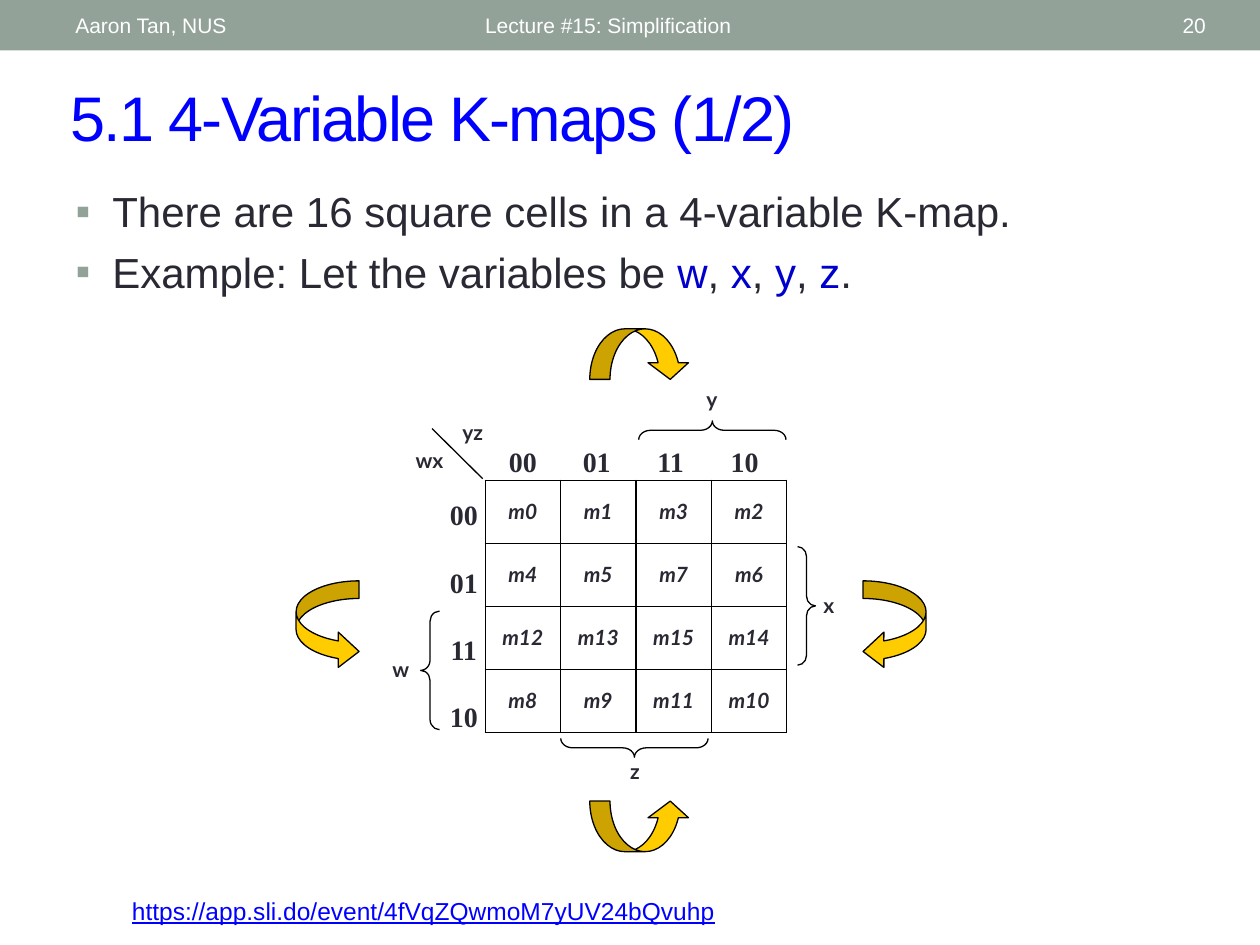
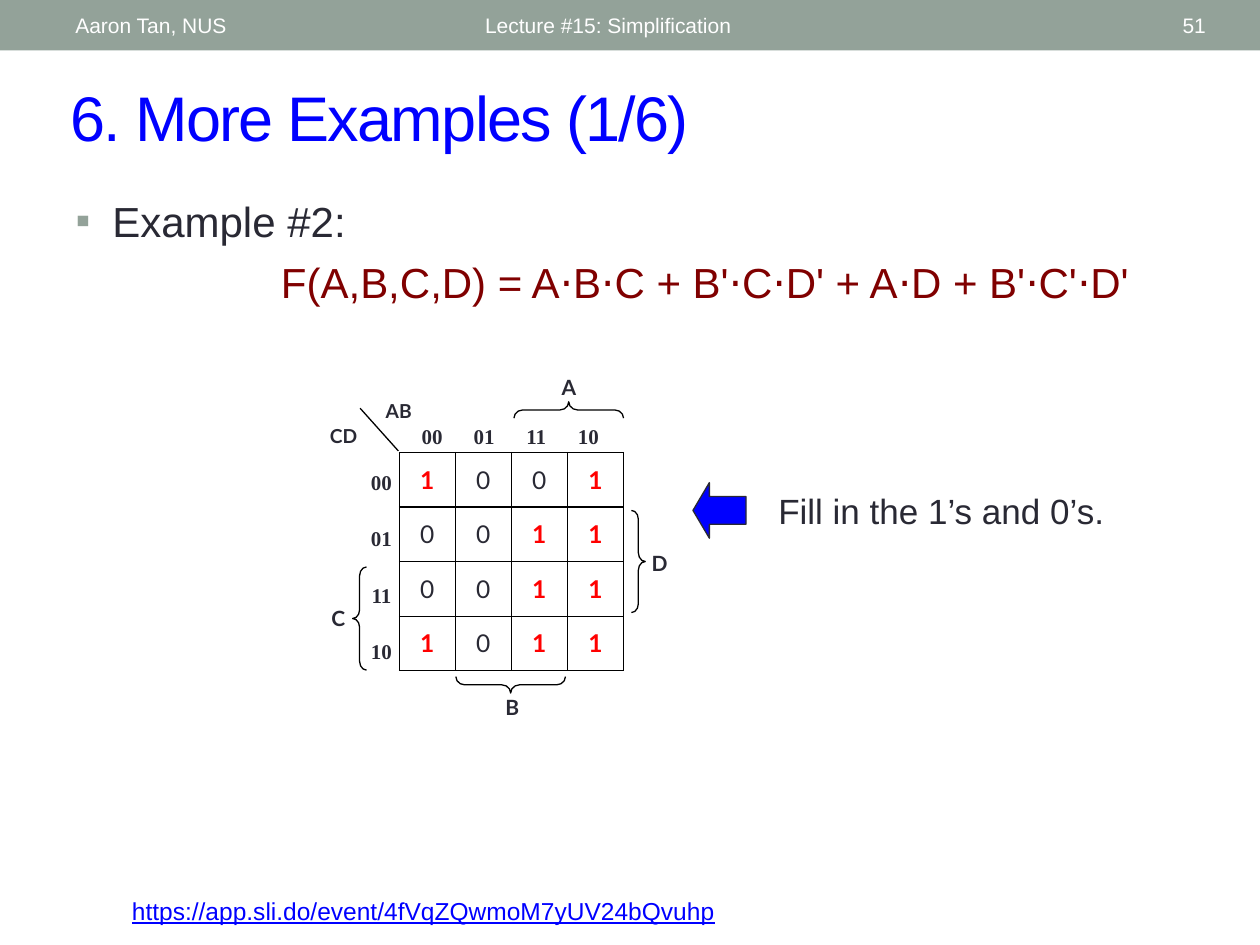
from lxml.etree import SubElement
from pptx import Presentation
from pptx.dml.color import RGBColor
from pptx.enum.shapes import MSO_CONNECTOR as Connector
from pptx.enum.shapes import MSO_SHAPE as Preset
from pptx.enum.text import MSO_ANCHOR as Anchor
from pptx.enum.text import MSO_AUTO_SIZE as AutoSize
from pptx.enum.text import PP_ALIGN as Align
from pptx.oxml.ns import qn
from pptx.util import Cm, Pt

WHITE = RGBColor(0xFF, 0xFF, 0xFF)
BLACK = RGBColor(0x00, 0x00, 0x00)
INK = RGBColor(0x29, 0x29, 0x34)
SAGE = RGBColor(0x93, 0xA2, 0x99)
BLUE = RGBColor(0x00, 0x00, 0xFF)
VARIABLE_BLUE = RGBColor(0x00, 0x00, 0xCC)
MAROON = RGBColor(0x80, 0x00, 0x00)
RED = RGBColor(0xFF, 0x00, 0x00)
GOLD = RGBColor(0xFF, 0xCC, 0x00)

HEADER = {"name": "Arial", "size": Pt(12), "color": WHITE}
LINK = {"name": "Arial", "size": Pt(14), "color": BLUE, "underline": True}
TITLE = {"name": "Arial", "size": Pt(36), "color": BLUE}
BODY = {"name": "Arial", "size": Pt(24), "color": INK}
VARIABLE = {**BODY, "color": VARIABLE_BLUE}
FORMULA = {**BODY, "color": MAROON}
REMARK = {**BODY, "size": Pt(20)}
LABEL = {"name": "Lato", "size": Pt(12), "color": INK, "bold": True}
SMALL_LABEL = {**LABEL, "size": Pt(11)}
MINTERM = {**LABEL, "italic": True}
ZERO = {"name": "Lato", "size": Pt(14), "color": INK, "bold": False}
ONE = {**ZERO, "color": RED, "bold": True}
BIG_CODE = {"name": "Times New Roman", "size": Pt(16), "color": INK, "bold": True}
SMALL_CODE = {**BIG_CODE, "size": Pt(12)}

LINE_WIDTH = Pt(0.75)
GRAY_CODES = ["00", "01", "11", "10"]


def add_span(para, text, style):
    span = para.add_run()
    span.text = text
    for key, value in style.items():
        if key == "color":
            span.font.color.rgb = value
        else:
            setattr(span.font, key, value)
    return span


def add_text(page, text, place, style, align=Align.LEFT, anchor=Anchor.MIDDLE):
    box = page.shapes.add_textbox(*map(Cm, place))
    box.text_frame.word_wrap = True
    box.text_frame.vertical_anchor = anchor
    para = box.text_frame.paragraphs[0]
    para.alignment = align
    add_span(para, text, style)
    return box


def add_label(page, text, center, style):
    width, height = 1.6, 0.8
    place = (center[0] - width / 2, center[1] - height / 2, width, height)
    frame = add_text(page, text, place, style, Align.CENTER).text_frame
    for side in ("left", "right", "top", "bottom"):
        setattr(frame, f"margin_{side}", 0)


def add_preset(page, preset, place, fill=None, outline=BLACK, flip=None,
               rotation=0, adjustments=()):
    shape = page.shapes.add_shape(preset, *map(Cm, place))
    shape.shadow.inherit = False
    shape.rotation = rotation
    for index, value in enumerate(adjustments):
        shape.adjustments[index] = value
    if fill is None:
        shape.fill.background()
    else:
        shape.fill.solid()
        shape.fill.fore_color.rgb = fill
    if outline is None:
        shape.line.fill.background()
    else:
        shape.line.color.rgb = outline
        shape.line.width = LINE_WIDTH
    if flip:
        shape._element.spPr.find(qn("a:xfrm")).set(flip, "1")


def add_brace(page, place, curl, rotation=0, flip=None):
    add_preset(page, Preset.LEFT_BRACE, place, rotation=rotation, flip=flip,
               adjustments=(curl, 0.5))


def add_line(page, start, end):
    line = page.shapes.add_connector(Connector.STRAIGHT, *map(Cm, (*start, *end)))
    line.line.color.rgb = BLACK
    line.line.width = LINE_WIDTH
    SubElement(line._element.spPr, qn("a:effectLst"))


def set_borders(cell):
    properties = cell._tc.get_or_add_tcPr()
    for side in ("lnL", "lnR", "lnT", "lnB"):
        border = SubElement(properties, qn(f"a:{side}"), w=str(LINE_WIDTH))
        fill = SubElement(border, qn("a:solidFill"))
        SubElement(fill, qn("a:srgbClr"), val=str(BLACK))


def add_grid(page, corner, cell_size, values, pick_style):
    count = len(values)
    size = [count * length for length in cell_size]
    table = page.shapes.add_table(count, count, *map(Cm, (*corner, *size))).table
    table.first_row = table.horz_banding = False
    for row, texts in enumerate(values):
        for column, text in enumerate(texts):
            cell = table.cell(row, column)
            set_borders(cell)
            cell.fill.background()
            cell.vertical_anchor = Anchor.MIDDLE
            for side in ("left", "right", "top", "bottom"):
                setattr(cell, f"margin_{side}", 0)
            para = cell.text_frame.paragraphs[0]
            para.alignment = Align.CENTER
            add_span(para, text, pick_style(text))


def add_codes(page, start, step, style):
    for index, code in enumerate(GRAY_CODES):
        center = [begin + index * gap for begin, gap in zip(start, step)]
        add_label(page, code, center, style)


def set_bullet(para):
    properties = para._p.get_or_add_pPr()
    properties.set("marL", str(Cm(0.74)))
    properties.set("indent", str(Cm(-0.74)))
    color = SubElement(properties, qn("a:buClr"))
    SubElement(color, qn("a:srgbClr"), val=str(SAGE))
    SubElement(properties, qn("a:buFont"), typeface="Arial")
    SubElement(properties, qn("a:buChar"), char="▪")


def set_plain_indent(para):
    properties = para._p.get_or_add_pPr()
    properties.set("marL", str(Cm(4.14)))
    properties.set("indent", "0")
    SubElement(properties, qn("a:buNone"))


def move(shape, place):
    for name, length in zip(("left", "top", "width", "height"), place):
        setattr(shape, name, Cm(length))


def add_body(page, place, paragraphs):
    body = page.placeholders[1]
    move(body, place)
    frame = body.text_frame
    frame.auto_size = AutoSize.NONE
    for index, (indent, spans) in enumerate(paragraphs):
        para = frame.add_paragraph() if index else frame.paragraphs[0]
        indent(para)
        para.space_before = Pt(6 if index else 0)
        for text, style in spans:
            add_span(para, text, style)


def add_page(deck, title, number):
    page = deck.slides.add_slide(deck.slide_layouts[1])
    add_preset(page, Preset.RECTANGLE, (0, 0, 25.4, 1.02), SAGE, None)
    add_text(page, "https://app.sli.do/event/4fVqZQwmoM7yUV24bQvuhp",
             (2.41, 17.93, 16.51, 0.86), LINK, anchor=Anchor.TOP)
    add_text(page, "Lecture #15: Simplification", (9.53, 0.05, 11.43, 0.91), HEADER)
    add_text(page, number, (22.15, 0.05, 2.41, 0.91), HEADER, Align.RIGHT)
    add_text(page, "Aaron Tan, NUS", (1.27, 0.05, 8.05, 0.91), HEADER)
    heading = page.shapes.title
    move(heading, (1.17, 1.45, 23.04, 1.78))
    frame = heading.text_frame
    frame.auto_size = AutoSize.NONE
    frame.vertical_anchor = Anchor.MIDDLE
    frame.paragraphs[0].alignment = Align.LEFT
    span = add_span(frame.paragraphs[0], title, TITLE)
    span._r.get_or_add_rPr().set("spc", "-100")
    return page


def add_four_variable_page(deck):
    page = add_page(deck, "5.1 4-Variable K-maps (1/2)", "20")
    example = [("Example: Let the variables be ", BODY)]
    for name, mark in zip("wxyz", (", ", ", ", ", ", ".")):
        example += [(name, VARIABLE), (mark, BODY)]
    add_body(page, (1.27, 3.61, 22.86, 3.02), [
        (set_bullet, [("There are 16 square cells in a 4-variable K-map.", BODY)]),
        (set_bullet, example),
    ])

    column_order = (0, 1, 3, 2)
    minterms = [[f"m{4 * row + column}" for column in column_order]
                for row in column_order]
    add_grid(page, (9.78, 9.68), (1.52, 1.27), minterms, lambda text: MINTERM)
    add_codes(page, (10.54, 9.3), (1.49, 0), BIG_CODE)
    add_codes(page, (9.35, 10.37), (0, 1.36), BIG_CODE)
    add_line(page, (8.71, 8.64), (9.73, 9.65))

    add_brace(page, (8.48, 12.32, 0.38, 2.39), 0.54)
    add_brace(page, (16.08, 11.02, 0.36, 2.39), 0.55, flip="flipH")
    add_brace(page, (14.17, 7.19, 0.38, 2.97), 0.63, rotation=90)
    add_brace(page, (12.6, 13.59, 0.38, 2.97), 0.63, rotation=270)
    for text, center in (("w", (8.08, 13.49)), ("x", (16.71, 12.19)),
                         ("y", (14.35, 8.05)), ("z", (12.8, 15.54)),
                         ("wx", (8.66, 9.27)), ("yz", (9.53, 8.71))):
        add_label(page, text, center, LABEL)

    for left, flip in ((5.97, None), (17.4, "flipH")):
        add_preset(page, Preset.CURVED_RIGHT_ARROW, (left, 11.71, 1.27, 1.78),
                   GOLD, flip=flip, adjustments=(0.28, 0.56, 0.33))
    for top, flip in ((16.15, None), (6.63, "flipV")):
        add_preset(page, Preset.CURVED_UP_ARROW, (11.89, top, 2.03, 1.02),
                   GOLD, flip=flip, adjustments=(0.4, 0.8, 0.33))


def add_example_page(deck):
    page = add_page(deck, "6. More Examples (1/6)", "51")
    add_body(page, (1.27, 3.81, 22.86, 3.43), [
        (set_bullet, [("Example #2:", BODY)]),
        (set_plain_indent,
         [("F(A,B,C,D) = A⋅B⋅C + B'⋅C⋅D' + A⋅D + B'⋅C'⋅D'", FORMULA)]),
    ])

    add_grid(page, (8.05, 9.12), (1.13, 1.1), ["1001", "0011", "0011", "1011"],
             lambda text: ONE if text == "1" else ZERO)
    add_codes(page, (8.71, 8.8), (1.05, 0), SMALL_CODE)
    add_codes(page, (7.69, 9.71), (0, 1.14), SMALL_CODE)
    add_line(page, (7.26, 8.23), (8.03, 9.09))

    add_brace(page, (7.11, 11.43, 0.28, 2.08), 0.63)
    add_brace(page, (12.73, 10.29, 0.28, 2.06), 0.63, flip="flipH")
    add_brace(page, (11.3, 7.16, 0.33, 2.21), 0.54, rotation=90)
    add_brace(page, (10.13, 12.7, 0.33, 2.21), 0.54, rotation=270)
    for text, center, style in (("A", (11.47, 7.8), LABEL),
                                ("B", (10.33, 14.25), LABEL),
                                ("C", (6.82, 12.47), LABEL),
                                ("D", (13.3, 11.35), LABEL),
                                ("CD", (6.93, 8.79), SMALL_LABEL),
                                ("AB", (8.04, 8.28), SMALL_LABEL)):
        add_label(page, text, center, style)

    add_preset(page, Preset.LEFT_ARROW, (13.97, 9.73, 1.07, 1.12), BLUE, INK,
               adjustments=(0.5, 0.31))
    add_text(page, "Fill in the 1’s and 0’s.", (15.44, 9.73, 7.32, 1.12), REMARK)


def main():
    deck = Presentation()
    deck.slide_width, deck.slide_height = Cm(25.4), Cm(19.05)
    add_four_variable_page(deck)
    add_example_page(deck)
    deck.save("out.pptx")


if __name__ == "__main__":
    main()
